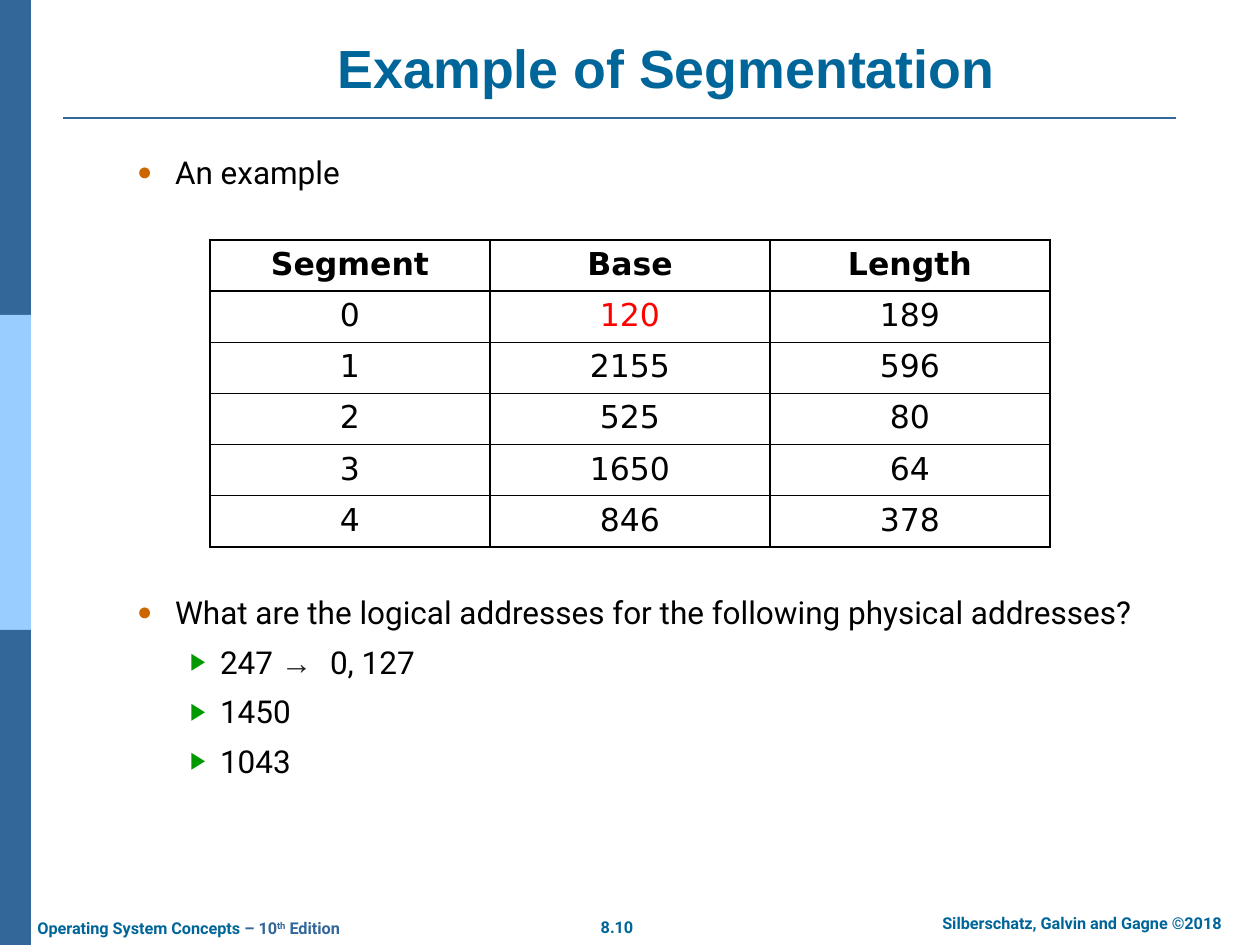
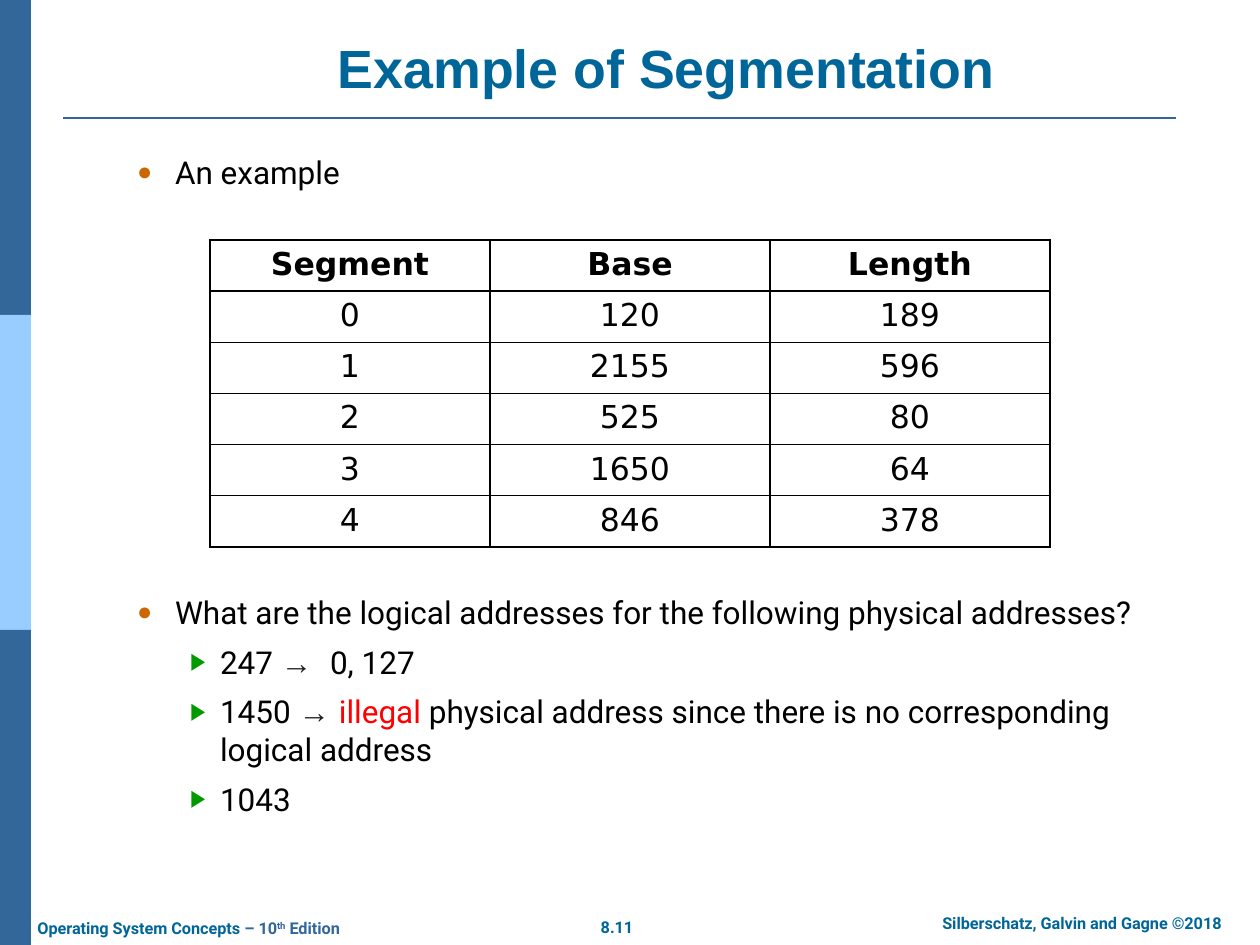
from lxml.etree import SubElement
from pptx import Presentation
from pptx.dml.color import RGBColor
from pptx.enum.shapes import MSO_CONNECTOR as Connector, MSO_SHAPE as Shape
from pptx.enum.text import MSO_ANCHOR as Anchor, MSO_AUTO_SIZE as AutoSize, PP_ALIGN as Align
from pptx.oxml.ns import qn
from pptx.util import Emu, Pt

EMU_PER_PX = 914400 / 126
COLORS = {
    "navy": "336699",
    "sky": "99CCFF",
    "teal": "006699",
    "orange": "CC6600",
    "green": "009900",
    "red": "FF0000",
    "arrow": "202122",
    "black": "000000",
    "white": "FFFFFF",
}
BULLETS = {
    1: {"mark": "●", "color": "orange", "percent": 80, "margin": 97, "hang": 38},
    2: {"mark": "▶", "color": "green", "percent": 75, "margin": 142, "hang": 30},
}
TITLE = "Example of Segmentation"
ITEM_GAP = 6.75
TABLE_GAP = 229.8
ARROW = {"font": "Arial", "color": "arrow"}
FOOTER = {"size": 9.3, "color": "teal", "bold": True}
SEGMENTS = [
    ("Segment", "Base", "Length"),
    ("0", "120", "189"),
    ("1", "2155", "596"),
    ("2", "525", "80"),
    ("3", "1650", "64"),
    ("4", "846", "378"),
]
FIRST_ANSWER = [("247 ", {}), ("→", ARROW), (" \t0, 127", {})]
ILLEGAL_ANSWER = [
    ("1450 ", {}),
    ("→ ", ARROW),
    ("illegal", {"color": "red"}),
    (" physical address since there is no corresponding logical address", {}),
]


def px(length):
    return Emu(round(length * EMU_PER_PX))


def rgb(name):
    return RGBColor.from_string(COLORS[name])


def write(paragraph, text, size=18, font="Roboto", color="black", bold=False, raised=False):
    run = paragraph.add_run()
    run.text = text
    run.font.size = Pt(size)
    run.font.name = font
    run.font.bold = bold
    run.font.color.rgb = rgb(color)
    if raised:
        run.font._element.set("baseline", "30000")


def place(box, left, top, width, height):
    box.left, box.top, box.width, box.height = map(px, (left, top, width, height))


def set_insets(frame, side, edge):
    frame.margin_left = frame.margin_right = px(side)
    frame.margin_top = frame.margin_bottom = px(edge)


def add_band(slide, top, color):
    band = slide.shapes.add_shape(Shape.RECTANGLE, 0, px(top), px(31), px(315))
    band.shadow.inherit = False
    band.fill.solid()
    band.fill.fore_color.rgb = rgb(color)
    band.line.fill.background()


def add_rule(slide):
    rule = slide.shapes.add_connector(Connector.STRAIGHT, px(63), px(118), px(1176), px(118))
    rule.line.color.rgb = rgb("navy")
    rule.line.width = Pt(1.5)
    SubElement(rule._element.spPr, qn("a:effectLst"))


def add_footer(slide, left, top, width, runs, align=Align.CENTER, wrap=False):
    frame = slide.shapes.add_textbox(px(left), px(top), px(width), px(32)).text_frame
    frame.word_wrap = wrap
    frame.auto_size = AutoSize.SHAPE_TO_FIT_TEXT
    paragraph = frame.paragraphs[0]
    paragraph.alignment = align
    for text, style in runs:
        write(paragraph, text, **{**FOOTER, **style})


def add_title(slide):
    title = slide.shapes.title
    place(title, 136, 29, 1061, 79)
    frame = title.text_frame
    frame.vertical_anchor = Anchor.BOTTOM
    frame.auto_size = AutoSize.NONE
    set_insets(frame, 18, 9)
    frame.paragraphs[0].alignment = Align.CENTER
    write(frame.paragraphs[0], TITLE, size=30.7, font="Arial", color="teal", bold=True)


def set_bullet(paragraph, level):
    bullet = BULLETS[level]
    paragraph.level = level
    properties = paragraph._p.get_or_add_pPr()
    properties.set("marL", str(px(bullet["margin"])))
    properties.set("indent", str(-px(bullet["hang"])))
    tint = SubElement(properties, qn("a:buClr"))
    SubElement(tint, qn("a:srgbClr"), val=COLORS[bullet["color"]])
    SubElement(properties, qn("a:buSzPct"), val=str(bullet["percent"] * 1000))
    SubElement(properties, qn("a:buChar"), char=bullet["mark"])


def add_bullets(slide, items):
    body = slide.placeholders[1]
    place(body, 60, 144, 1123, 728)
    frame = body.text_frame
    frame.vertical_anchor = Anchor.TOP
    frame.auto_size = AutoSize.NONE
    set_insets(frame, 18, 9)
    for index, (level, gap, runs) in enumerate(items):
        paragraph = frame.add_paragraph() if index else frame.paragraphs[0]
        set_bullet(paragraph, level)
        paragraph.alignment = Align.LEFT
        paragraph.space_before = Pt(gap)
        for text, style in runs:
            write(paragraph, text, **style)


def set_borders(cell):
    properties = cell._tc.get_or_add_tcPr()
    for side in ("lnL", "lnR", "lnT", "lnB"):
        border = SubElement(properties, qn(f"a:{side}"), w=str(Pt(1)))
        fill = SubElement(border, qn("a:solidFill"))
        SubElement(fill, qn("a:srgbClr"), val=COLORS["black"])


def set_cell_fill(cell, tinted):
    if not tinted:
        cell.fill.background()
        return
    cell.fill.solid()
    cell.fill.fore_color.rgb = rgb("white")
    tint = cell._tc.tcPr.find(qn("a:solidFill")).find(qn("a:srgbClr"))
    SubElement(tint, qn("a:alpha"), val="20000")


def add_segment_table(slide, highlighted):
    frame = slide.shapes.add_table(
        len(SEGMENTS), len(SEGMENTS[0]), px(210), px(240), px(840), px(307)
    )
    table = frame.table
    table.first_row = table.horz_banding = False
    for row, values in enumerate(SEGMENTS):
        for column, value in enumerate(values):
            cell = table.cell(row, column)
            set_borders(cell)
            set_cell_fill(cell, row % 2 == 1)
            paragraph = cell.text_frame.paragraphs[0]
            paragraph.alignment = Align.CENTER
            color = "red" if value == highlighted else "black"
            write(paragraph, value, font="DejaVu Sans", color=color, bold=row == 0)


def add_frame(slide, number):
    for top, color in ((0, "navy"), (315, "sky"), (630, "navy")):
        add_band(slide, top, color)
    add_rule(slide)
    add_footer(slide, 588, 911, 58, [(number, {})])
    add_footer(slide, 895, 907, 374, [("Silberschatz, Galvin and Gagne ©2018", {})], wrap=True)
    edition = [
        ("Operating System Concepts", {}),
        (" – 10", {"color": "navy"}),
        ("th", {"color": "navy", "raised": True}),
        (" Edition", {"color": "navy"}),
    ]
    add_footer(slide, 25, 912, 355, edition, align=Align.LEFT)


def add_example_slide(deck, number, second_answer, highlighted=None):
    slide = deck.slides.add_slide(deck.slide_layouts[1])
    add_frame(slide, number)
    add_title(slide)
    question = "What are the logical addresses for the following physical addresses?"
    add_bullets(slide, [
        (1, 0, [("An example", {})]),
        (1, TABLE_GAP, [(question, {})]),
        (2, ITEM_GAP, FIRST_ANSWER),
        (2, ITEM_GAP, second_answer),
        (2, ITEM_GAP, [("1043", {})]),
    ])
    add_segment_table(slide, highlighted)


def main():
    deck = Presentation()
    deck.slide_width, deck.slide_height = px(1260), px(945)
    add_example_slide(deck, "8.10", [("1450", {})], highlighted="120")
    add_example_slide(deck, "8.11", ILLEGAL_ANSWER)
    deck.save("out.pptx")


if __name__ == "__main__":
    main()
